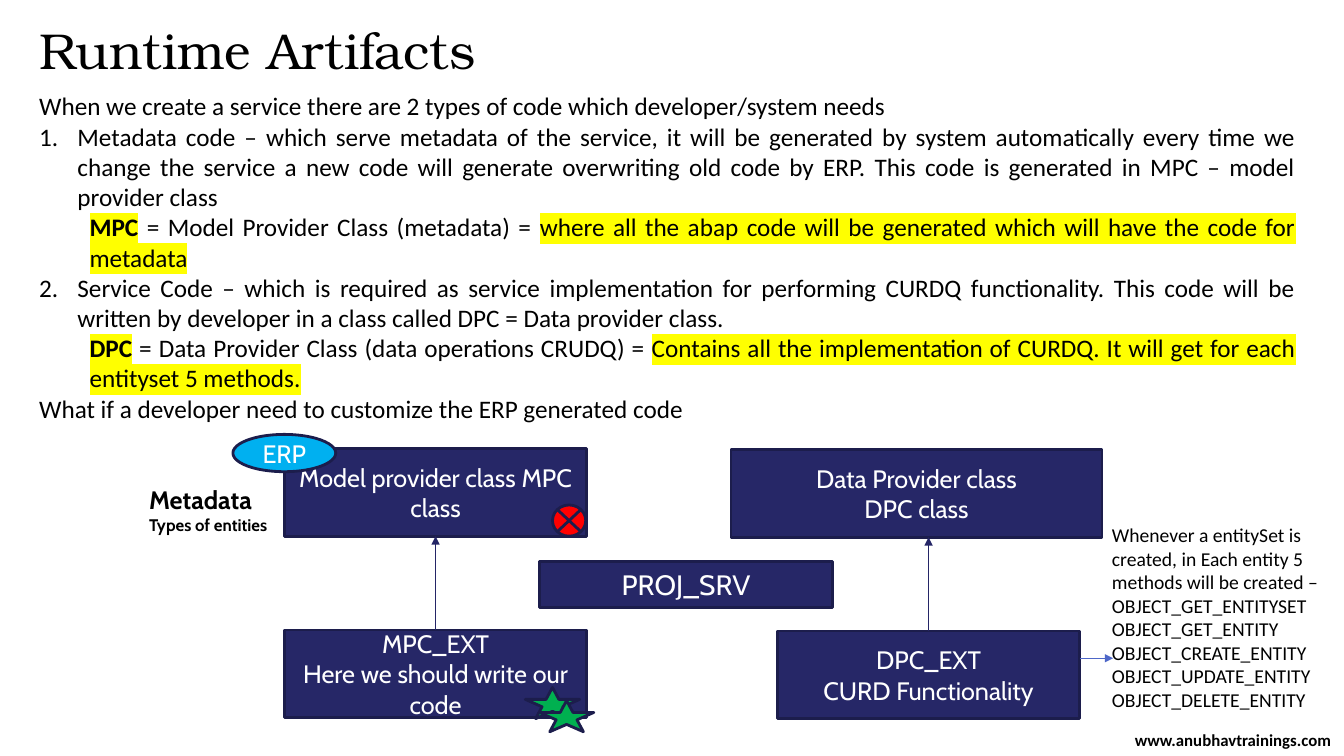
from dataclasses import dataclass

import pptx
import pptx.dml.color
import pptx.enum.shapes
import pptx.enum.text
import pptx.oxml.ns
import pptx.oxml.xmlchemy
import pptx.presentation
import pptx.util
from lxml import etree

RGBColor = pptx.dml.color.RGBColor
Align = pptx.enum.text.PP_ALIGN
Anchor = pptx.enum.text.MSO_ANCHOR
Preset = pptx.enum.shapes.MSO_SHAPE
qn = pptx.oxml.ns.qn

PX = 9144  # EMU per px: 100 px to the inch

BLACK = RGBColor(0x00, 0x00, 0x00)
WHITE = RGBColor(0xFF, 0xFF, 0xFF)
NAVY = RGBColor(0x26, 0x27, 0x67)
OUTLINE = RGBColor(0x1C, 0x1D, 0x4C)
ARROW_NAVY = RGBColor(0x24, 0x25, 0x66)
ARROW_BLUE = RGBColor(0x4E, 0x67, 0xC8)
SKY = RGBColor(0x00, 0xB0, 0xF0)
RED = RGBColor(0xFF, 0x00, 0x00)
GREEN = RGBColor(0x00, 0xB0, 0x50)
HIGHLIGHT = "FFFF00"

SERIF, BODY, DIAGRAM = "TeX Gyre Bonum", "Calibri", "Cabin"


@dataclass(frozen=True)
class Span:
    text: str
    bold: bool = False
    marked: bool = False


@dataclass(frozen=True)
class Line:
    spans: tuple[Span, ...]
    numbered: bool = False
    nested: bool = False
    justified: bool = True


@dataclass(frozen=True)
class Label:
    text: str
    left: int
    top: int
    width: int
    height: int
    sizes: tuple[int, ...]
    font: str = BODY
    bold: bool = False
    align: Align = Align.LEFT
    anchor: Anchor = Anchor.TOP
    spacing: float = 1.0


@dataclass(frozen=True)
class Node:
    text: str
    left: int
    top: int
    width: int
    height: int
    preset: Preset = Preset.RECTANGLE
    fill: RGBColor = NAVY
    size: int = 18


@dataclass(frozen=True)
class Arrow:
    start: tuple[int, int]
    end: tuple[int, int]
    color: RGBColor = ARROW_NAVY
    weight: float = 0.75


LABELS = (
    Label("Runtime Artifacts", 29, 21, 850, 65, (36,), SERIF, spacing=0.9),
    Label("www.anubhavtrainings.com", 1113, 726, 220, 16, (12,), bold=True,
          align=Align.CENTER, anchor=Anchor.MIDDLE),
    Label("Metadata\nTypes of entities", 138, 476, 144, 48, (18, 12), DIAGRAM, bold=True),
    Label("Whenever a entitySet is created, in Each entity 5 methods will be created –\n"
          "OBJECT_GET_ENTITYSET\nOBJECT_GET_ENTITY\nOBJECT_CREATE_ENTITY\n"
          "OBJECT_UPDATE_ENTITY\nOBJECT_DELETE_ENTITY", 1093, 514, 243, 199, (14,)),
)

EXPLANATION = (
    Line((Span("When we create a service there are 2 types of code which developer/system needs"),)),
    Line((Span("Metadata code – which serve metadata of the service, it will be generated by system "
               "automatically every time we change the service a new code will generate overwriting "
               "old code by ERP. This code is generated in MPC – model provider class"),),
         numbered=True),
    Line((Span("MPC", bold=True, marked=True),
          Span(" = Model Provider Class (metadata) = "),
          Span("where all the abap code will be generated which will have the code for metadata",
               marked=True)), nested=True),
    Line((Span("Service Code – which is required as service implementation for performing CURDQ "
               "functionality. This code will be written by developer in a class called DPC = "
               "Data provider class."),), numbered=True),
    Line((Span("DPC", bold=True, marked=True),
          Span(" = Data Provider Class (data operations CRUDQ) = "),
          Span("Contains all the implementation of CURDQ. It will get for each entityset 5 methods.",
               marked=True)), nested=True),
    Line((Span("What if a developer need to customize the ERP generated code"),), justified=False),
)

NODES = (
    Node("Model provider class MPC class", 282, 445, 300, 87),
    Node("ERP", 231, 431, 102, 37, Preset.OVAL, SKY),
    Node("", 548, 501, 33, 31, Preset.FLOWCHART_SUMMING_JUNCTION, RED),
    Node("MPC_EXT\nHere we should write our code", 282, 625, 300, 87),
    Node("", 521, 682, 54, 31, Preset.STAR_5_POINT, GREEN),
    Node("", 535, 695, 54, 31, Preset.STAR_5_POINT, GREEN),
    Node("Data Provider class\nDPC class", 725, 446, 368, 87),
    Node("DPC_EXT\nCURD Functionality", 771, 626, 300, 87),
    Node("PROJ_SRV", 535, 557, 291, 46, size=20),
)

ARROWS = (
    Arrow((432, 625), (432, 532)),
    Arrow((921, 626), (921, 533)),
    Arrow((1071, 653), (1104, 653), ARROW_BLUE, 0.5),
)


def style_run(run, font: str, size: int, color: RGBColor, bold: bool = False) -> None:
    run.font.name = font
    run.font.size = pptx.util.Pt(size)
    run.font.bold = bold
    run.font.color.rgb = color


def add_text_frame(slide, left: int, top: int, width: int, height: int):
    box = slide.shapes.add_textbox(left * PX, top * PX, width * PX, height * PX)
    box.text_frame.word_wrap = True
    return box.text_frame


def add_label(slide, label: Label) -> None:
    frame = add_text_frame(slide, label.left, label.top, label.width, label.height)
    frame.vertical_anchor = label.anchor
    frame.text = label.text
    for index, paragraph in enumerate(frame.paragraphs):
        paragraph.alignment = label.align
        paragraph.line_spacing = label.spacing
        size = label.sizes[min(index, len(label.sizes) - 1)]
        for run in paragraph.runs:
            style_run(run, label.font, size, BLACK, label.bold)


def add_explanation(slide, lines: tuple[Line, ...]) -> None:
    frame = add_text_frame(slide, 29, 85, 1266, 343)
    for index, line in enumerate(lines):
        paragraph = frame.add_paragraph() if index else frame.paragraphs[0]
        paragraph.alignment = Align.JUSTIFY if line.justified else Align.LEFT
        properties = paragraph._p.get_or_add_pPr()
        if line.numbered:
            properties.set("marL", str(38 * PX))
            properties.set("indent", str(-38 * PX))
            etree.SubElement(properties, qn("a:buAutoNum"), type="arabicPeriod")
        elif line.nested:
            paragraph.level = 1
            properties.set("marL", str(50 * PX))
            properties.set("indent", "0")
        for span in line.spans:
            run = paragraph.add_run()
            run.text = span.text
            style_run(run, BODY, 18, BLACK, span.bold)
            if span.marked:
                marker = etree.Element(qn("a:highlight"))
                etree.SubElement(marker, qn("a:srgbClr"), val=HIGHLIGHT)
                run._r.rPr.find(qn("a:solidFill")).addnext(marker)


def add_node(slide, node: Node) -> None:
    shape = slide.shapes.add_shape(node.preset, node.left * PX, node.top * PX,
                                   node.width * PX, node.height * PX)
    shape.shadow.inherit = False
    shape.fill.solid()
    shape.fill.fore_color.rgb = node.fill
    shape.line.color.rgb = OUTLINE
    shape.line.width = pptx.util.Pt(2)
    if node.text:
        shape.text_frame.word_wrap = True
        shape.text_frame.vertical_anchor = Anchor.MIDDLE
        shape.text_frame.text = node.text
        for paragraph in shape.text_frame.paragraphs:
            paragraph.alignment = Align.CENTER
            for run in paragraph.runs:
                style_run(run, DIAGRAM, node.size, WHITE)


def add_arrow(slide, arrow: Arrow) -> None:
    connector = slide.shapes.add_connector(
        pptx.enum.shapes.MSO_CONNECTOR.STRAIGHT,
        *(value * PX for value in arrow.start + arrow.end))
    connector.line.color.rgb = arrow.color
    connector.line.width = pptx.util.Pt(arrow.weight)
    etree.SubElement(connector.line._get_or_add_ln(), qn("a:tailEnd"), type="triangle")
    etree.SubElement(connector._element.spPr, qn("a:effectLst"))


def main() -> None:
    deck = pptx.Presentation()
    deck.slide_width, deck.slide_height = 1333 * PX, 750 * PX
    slide = deck.slides.add_slide(deck.slide_layouts[6])

    # Explanation of the two kinds of code
    add_explanation(slide, EXPLANATION)

    # Class diagram
    for node in NODES:
        add_node(slide, node)
    for arrow in ARROWS:
        add_arrow(slide, arrow)

    # Title, side notes and web address
    for label in LABELS:
        add_label(slide, label)

    deck.save("out.pptx")


if __name__ == "__main__":
    main()
